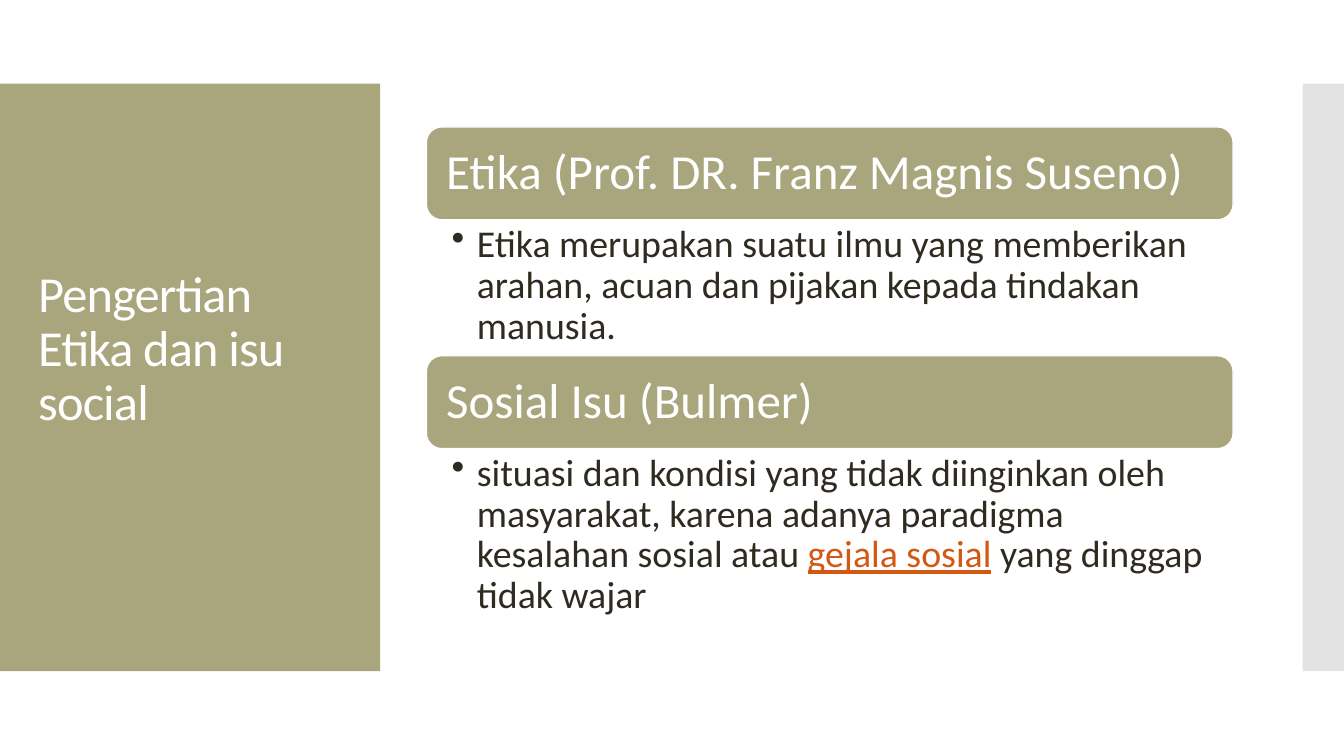
"""Builds the slide that defines ethics and social issues."""
from lxml.etree import SubElement
from pptx import Presentation
from pptx.dml.color import RGBColor
from pptx.enum.shapes import MSO_SHAPE as Shape
from pptx.enum.text import MSO_ANCHOR as Anchor, PP_ALIGN as Align
from pptx.oxml.ns import qn
from pptx.util import Inches, Pt

OLIVE, GREY, WHITE, DARK, LINK = "A9A57C", "C8C8C8", "FFFFFF", "2F2B20", "D25814"
TITLE = "Pengertian Etika dan isu social"
TOPICS = [
    ("Etika (Prof. DR. Franz Magnis Suseno)", 1.35, [
        ("Etika merupakan suatu ilmu yang memberikan arahan, acuan dan "
         "pijakan kepada tindakan manusia.", DARK)]),
    ("Sosial Isu (Bulmer)", 1.78, [
        ("situasi dan kondisi yang tidak diinginkan oleh masyarakat, "
         "karena adanya paradigma kesalahan sosial atau\u00a0", DARK),
        ("gejala sosial", LINK),
        ("\u00a0yang dinggap tidak wajar", DARK)]),
]
LEFT, TOP, WIDTH, HEAD = 4.23, 1.26, 8, 0.92


def color(code):
    return RGBColor.from_string(code)


def add_box(kind, place, fill, alpha=None, line=None):
    box = slide.shapes.add_shape(kind, *map(Inches, place))
    box.shadow.inherit = False
    box.fill.solid()
    box.fill.fore_color.rgb = color(fill)
    if alpha:
        tint = box.fill._xPr.find(".//" + qn("a:srgbClr"))
        SubElement(tint, qn("a:alpha")).set("val", str(alpha * 1000))
    if line:
        box.line.color.rgb = color(line)
        box.line.width = Pt(0.85)
    else:
        box.line.fill.background()
    return box


def add_text(shape, runs, size, pad, anchor=Anchor.MIDDLE, bullet=False, track=None):
    frame = shape.text_frame
    frame.word_wrap = True
    frame.vertical_anchor = anchor
    (frame.margin_left, frame.margin_top,
     frame.margin_right, frame.margin_bottom) = map(Inches, pad)
    para = frame.paragraphs[0]
    para.alignment = Align.LEFT
    para.line_spacing = 0.9
    if bullet:
        props = para._p.get_or_add_pPr()
        props.set("marL", str(Inches(0.25)))
        props.set("indent", str(Inches(-0.25)))
        SubElement(props, qn("a:buChar")).set("char", "•")
    for words, code in runs:
        run = para.add_run()
        run.text = words
        font = run.font
        font.name, font.size = "Calibri", Pt(size)
        font.color.rgb = color(code)
        if code == LINK:
            font.underline = True
        if track:
            font._element.set("spc", str(track))


def add_area(*place):
    return slide.shapes.add_textbox(*map(Inches, place))


deck = Presentation()
deck.slide_width, deck.slide_height = Inches(13.33), Inches(7.5)
slide = deck.slides.add_slide(deck.slide_layouts[6])

add_box(Shape.RECTANGLE, (0, 0.83, 3.77, 5.83), OLIVE)
add_box(Shape.RECTANGLE, (12.92, 0.83, 0.41, 5.83), GREY, alpha=50)
add_text(add_area(0.28, 0.96, 3.22, 5.03), [(TITLE, WHITE)], 36,
         (0.1, 0.05, 0.1, 0.05), track=-60)

top = TOP
for name, high, runs in TOPICS:
    head = add_box(Shape.ROUNDED_RECTANGLE, (LEFT, top, WIDTH, HEAD), OLIVE, line=WHITE)
    add_text(head, [(name, WHITE)], 35, (0.15,) * 4)
    add_text(add_area(LEFT, top + HEAD, WIDTH, high), runs, 27,
             (0.25, 0.05, 0.27, 0.05), anchor=Anchor.TOP, bullet=True)
    top += HEAD + high

deck.save("out.pptx")
